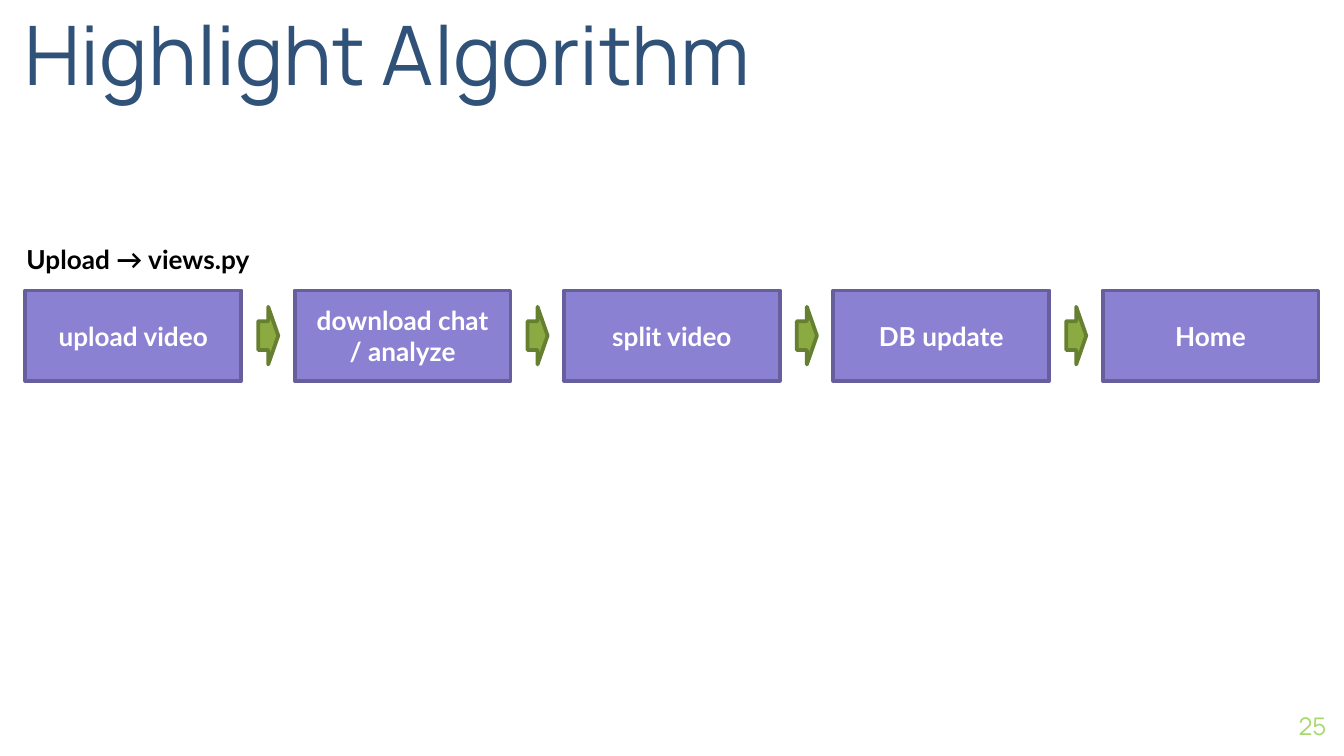
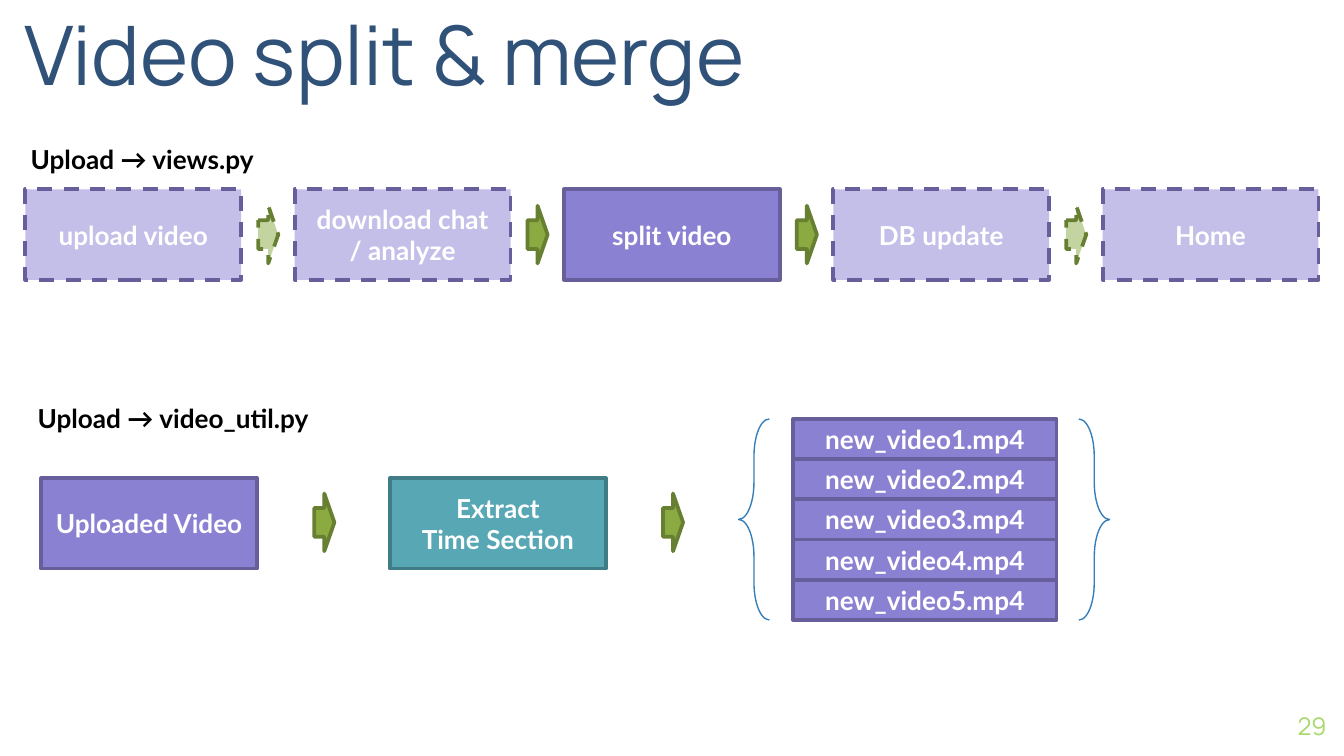
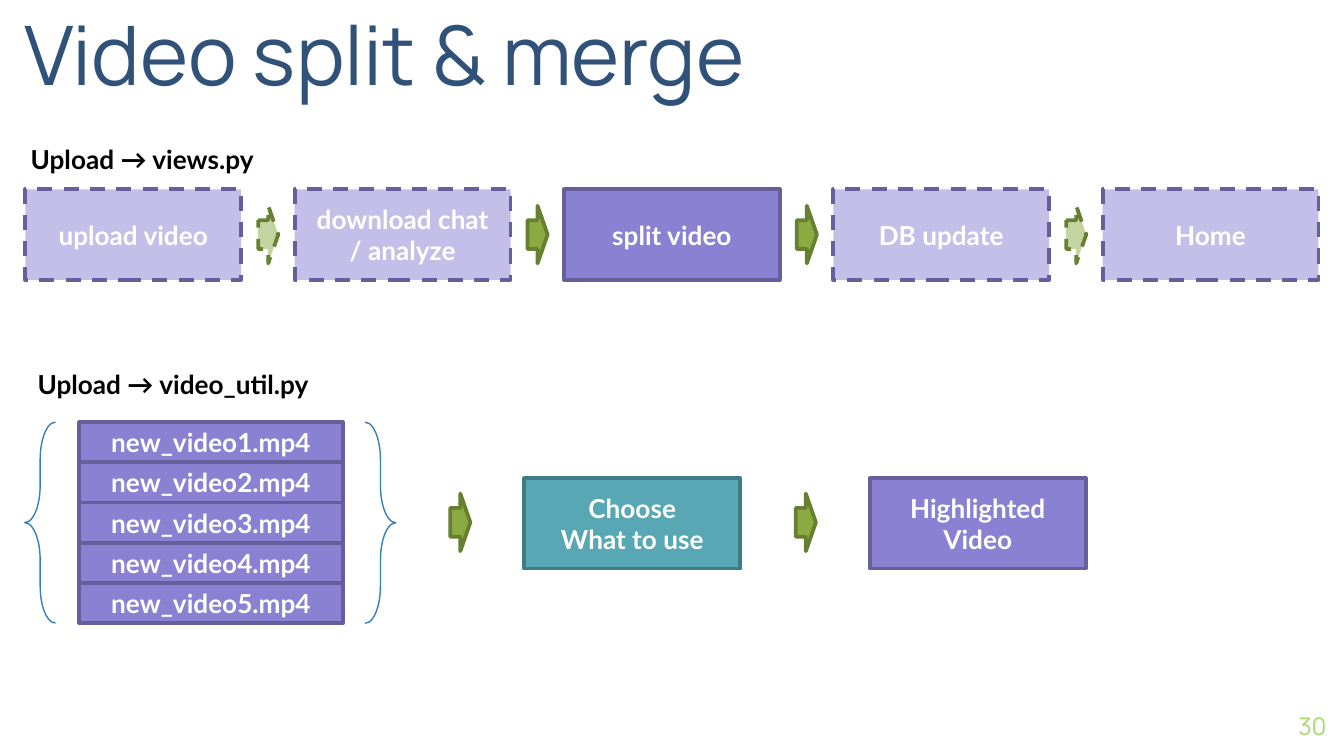
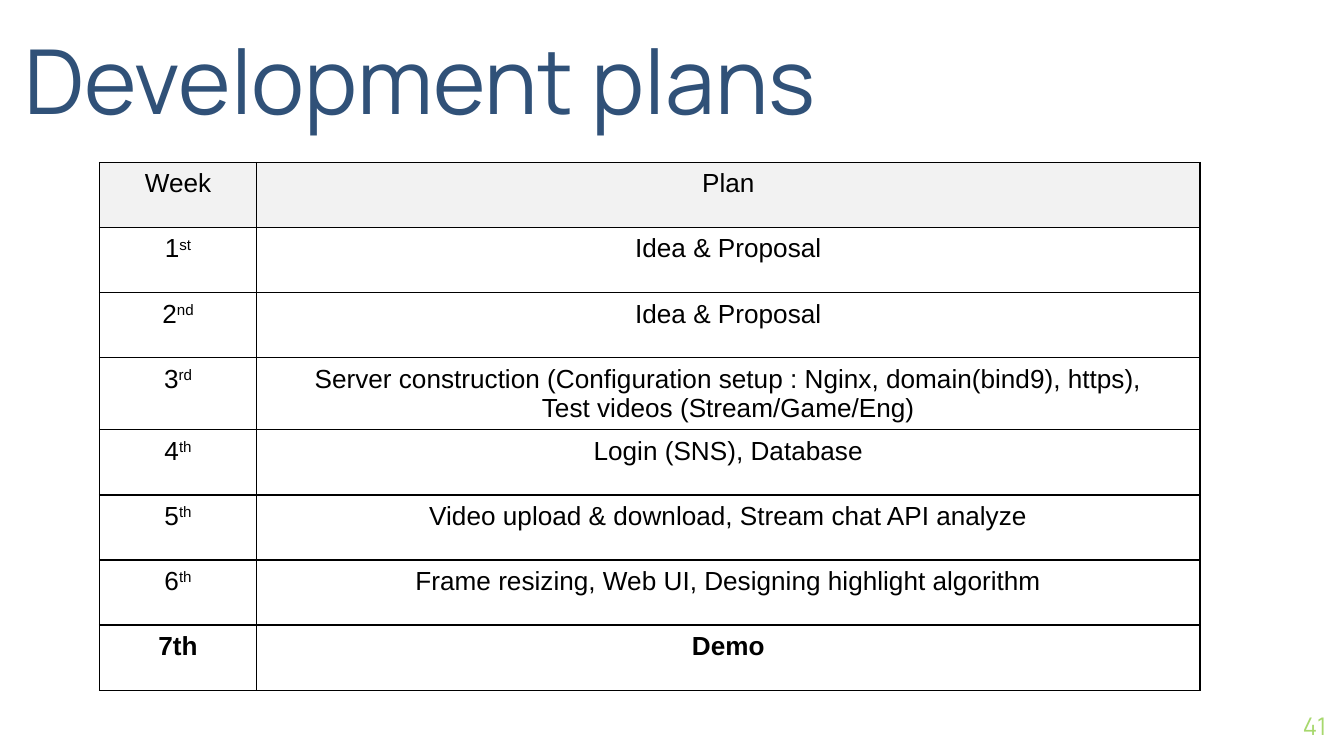
from lxml import etree
from pptx import Presentation
from pptx import util as u
from pptx.dml.color import RGBColor
from pptx.enum import dml, shapes, text
from pptx.oxml.ns import qn

Cm, Pt = u.Cm, u.Pt
MSO = shapes.MSO_SHAPE
COLORS = {
    "title": "305178", "number": "A7D86D", "black": "000000", "white": "FFFFFF",
    "purple": "8B81D2", "purple_line": "675F9B",
    "green": "8BAB42", "green_line": "677F31",
    "teal": "57A7B5", "teal_line": "407C86",
    "brace": "367EB9", "header": "F2F2F2",
}
C = {name: RGBColor.from_string(value) for name, value in COLORS.items()}
BOX_W, BOX_H = 4.08, 1.71
ARROW_W, ARROW_H = 0.38, 1.09
CLIP_W, CLIP_H = 4.98, 0.76
FLOW_X, FLOW_PITCH = 0.48, 5.09
DETAIL_Y = 9.04


def add_text(tf, content, font, size, color, bold=False, align=None):
    tf.text = content
    for p in tf.paragraphs:
        p.alignment = align
        for r in p.runs:
            r.font.name, r.font.size, r.font.bold = font, Pt(size), bold
            r.font.color.rgb = C[color]


def add_block(parent, kind, x, y, w, h, color, content="", faded=False):
    sp = parent.add_shape(kind, Cm(x), Cm(y), Cm(w), Cm(h))
    sp.shadow.inherit = False
    sp.fill.solid()
    sp.fill.fore_color.rgb = C[color]
    sp.line.color.rgb = C[color + "_line"]
    sp.line.width = Pt(2)
    if faded:
        clr = sp._element.spPr.find(qn("a:solidFill"))[0]
        etree.SubElement(clr, qn("a:alpha")).set("val", "50000")
        sp.line.dash_style = dml.MSO_LINE.DASH
    if content:
        tf = sp.text_frame
        tf.word_wrap = True
        tf.vertical_anchor = text.MSO_ANCHOR.MIDDLE
        add_text(tf, content, "Lato", 14, "white", True, text.PP_ALIGN.CENTER)


prs = Presentation()
prs.slide_width, prs.slide_height = Cm(25.4), Cm(14.29)

# Titles: text, width, height, size; then the page number
pages = [
    ("Highlight Algorithm", 24.94, 1.8, 44, "25"),
    ("Video split & merge", 24.94, 1.8, 44, "29"),
    ("Video split & merge", 24.94, 1.8, 44, "30"),
    ("Development plans", 17.5, 2.39, 48, "41"),
]
for title, w, h, size, number in pages:
    s = prs.slides.add_slide(prs.slide_layouts[5])
    sp = s.shapes.title
    sp.left, sp.top, sp.width, sp.height = Cm(0.46), Cm(0.15), Cm(w), Cm(h)
    add_text(sp.text_frame, title, "Manrope", size, "title", align=text.PP_ALIGN.LEFT)
    sp.text_frame.vertical_anchor = text.MSO_ANCHOR.BOTTOM
    sp.text_frame.paragraphs[0].line_spacing = 0.9
    num = s.shapes.add_textbox(Cm(23.55), Cm(13.18), Cm(1.52), Cm(1.09))
    add_text(num.text_frame, number, "Manrope", 13, "number", align=text.PP_ALIGN.RIGHT)
    num.text_frame.vertical_anchor = text.MSO_ANCHOR.MIDDLE
    for tf in (sp.text_frame, num.text_frame):
        tf.word_wrap = True
        tf.auto_size = text.MSO_AUTO_SIZE.NONE
        tf.margin_left = tf.margin_right = tf.margin_top = tf.margin_bottom = 0

overview, split, merge, plans = prs.slides

# File labels above the flows
labels = [
    (overview, "Upload → views.py", 0.25, 4.47, 5.21),
    (split, "Upload → views.py", 0.33, 2.59, 5.05),
    (split, "Upload → video_util.py", 0.46, 7.49, 6.99),
    (merge, "Upload → views.py", 0.33, 2.59, 5.05),
    (merge, "Upload → video_util.py", 0.46, 6.83, 6.99),
]
for s, label, x, y, w in labels:
    tf = s.shapes.add_textbox(Cm(x), Cm(y), Cm(w), Cm(0.86)).text_frame
    tf.word_wrap = True
    add_text(tf, label, "Lato", 14, "black", True)

# Upload flow; all but the current step is faded
steps = ["upload video", "download chat\n/ analyze", "split video", "DB update", "Home"]
for s, y, current in ((overview, 5.49, None), (split, 3.58, 2), (merge, 3.58, 2)):
    flow = s.shapes.add_group_shape().shapes
    for i, step in enumerate(steps):
        x = FLOW_X + i * FLOW_PITCH
        add_block(flow, MSO.RECTANGLE, x, y, BOX_W, BOX_H, "purple", step,
                  current not in (None, i))
        if i < len(steps) - 1:
            add_block(flow, MSO.RIGHT_ARROW, x + 4.4, y + 0.31, ARROW_W, ARROW_H,
                      "green", faded=current not in (None, i, i + 1))

# Detail boxes and arrows
boxes = [
    (split, 0.78, "purple", "Uploaded Video"),
    (split, 7.37, "teal", "Extract\nTime Section"),
    (merge, 9.91, "teal", "Choose\nWhat to use"),
    (merge, 16.44, "purple", "Highlighted\nVideo"),
]
for s, x, color, content in boxes:
    add_block(s.shapes, MSO.RECTANGLE, x, DETAIL_Y, BOX_W, BOX_H, color, content)
for s, x in ((split, 5.94), (split, 12.53), (merge, 8.51), (merge, 15.04)):
    add_block(s.shapes, MSO.RIGHT_ARROW, x, DETAIL_Y + 0.29, ARROW_W, ARROW_H, "green")

# Clip lists between braces
for s, x, y in ((split, 14.99, 7.92), (merge, 1.5, 7.98)):
    clips = s.shapes.add_group_shape().shapes
    for i in range(5):
        add_block(clips, MSO.RECTANGLE, x, y + i * CLIP_H, CLIP_W, CLIP_H, "purple",
                  f"new_video{i + 1}.mp4")
    for brace_x, angle in ((x - 1.03, 0), (x + 5.4, 180)):
        sp = clips.add_shape(MSO.LEFT_BRACE, Cm(brace_x), Cm(y), Cm(0.58), Cm(5 * CLIP_H))
        sp.adjustments[0] = 1.217
        sp.rotation = angle
        sp.shadow.inherit = False
        sp.fill.background()
        sp.line.color.rgb = C["brace"]
        sp.line.width = Pt(0.75)

# Plan table
rows = [
    ("Week", "", "Plan"),
    ("1", "st", "Idea & Proposal"),
    ("2", "nd", "Idea & Proposal"),
    ("3", "rd", "Server construction (Configuration setup : Nginx, domain(bind9), https),\n"
                "Test videos (Stream/Game/Eng)"),
    ("4", "th", "Login (SNS), Database"),
    ("5", "th", "Video upload & download, Stream chat API analyze"),
    ("6", "th", "Frame resizing, Web UI, Designing highlight algorithm"),
    ("7th", "", "Demo"),
]
tbl = plans.shapes.add_table(len(rows), 2, Cm(1.88), Cm(3.07), Cm(20.8), Cm(9.84)).table
tbl.horz_banding = tbl.first_row = False
tbl.columns[0].width, tbl.columns[1].width = Cm(2.97), Cm(17.83)
for i, (week, suffix, plan) in enumerate(rows):
    tbl.rows[i].height = Cm(1.23)
    for cell, content in zip(tbl.rows[i].cells, (week, plan)):
        add_text(cell.text_frame, content, "Arial", 14, "black",
                 i == len(rows) - 1, text.PP_ALIGN.CENTER)
        cell.fill.solid()
        cell.fill.fore_color.rgb = C["white" if i else "header"]
        tcPr = cell._tc.get_or_add_tcPr()
        for n, side in enumerate(("lnL", "lnR", "lnT", "lnB")):
            ln = etree.Element(qn("a:" + side), w=str(Pt(0.75)))
            fill = etree.SubElement(ln, qn("a:solidFill"))
            etree.SubElement(fill, qn("a:srgbClr"), val=COLORS["black"])
            tcPr.insert(n, ln)
    if suffix:
        r = tbl.cell(i, 0).text_frame.paragraphs[0].add_run()
        r.text = suffix
        r.font.name, r.font.size = "Arial", Pt(14)
        r.font.color.rgb = C["black"]
        r._r.get_or_add_rPr().set("baseline", "30000")

prs.save("out.pptx")
